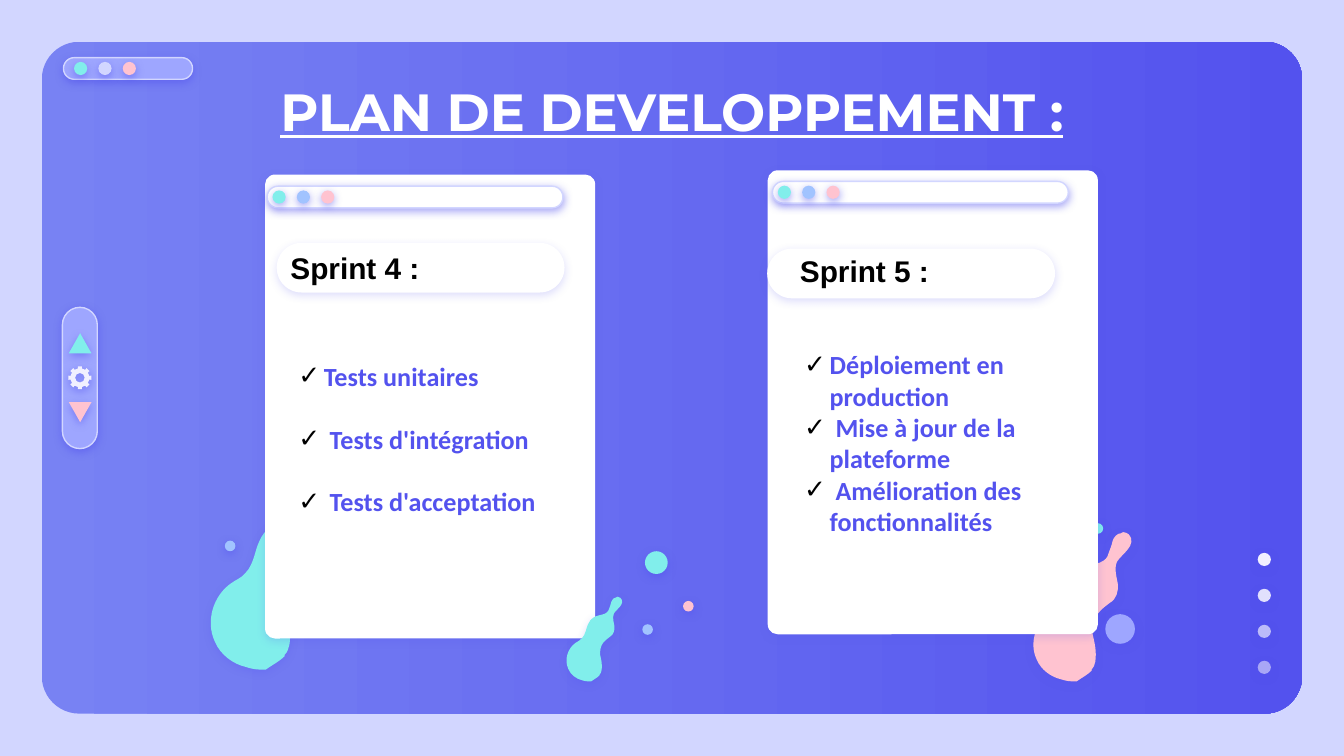
from math import cos, pi, sin

from lxml.etree import SubElement
from pptx import Presentation
from pptx.dml.color import RGBColor
from pptx.enum.shapes import MSO_SHAPE
from pptx.enum.text import MSO_ANCHOR, PP_ALIGN
from pptx.oxml.ns import qn
from pptx.util import Cm, Pt

LILAC = RGBColor(0xD2, 0xD6, 0xFF)
INDIGO = RGBColor(0x53, 0x52, 0xEE)
PERIWINKLE = RGBColor(0x78, 0x82, 0xF3)
LAVENDER = RGBColor(0x9E, 0xA6, 0xFF)
TEAL = RGBColor(0x81, 0xEE, 0xEB)
BLUE = RGBColor(0xA1, 0xC3, 0xFF)
PINK = RGBColor(0xFF, 0xC3, 0xD0)
PALE = RGBColor(0xF1, 0xF0, 0xFF)
WHITE = RGBColor(0xFF, 0xFF, 0xFF)
BLACK = RGBColor(0, 0, 0)

# All positions and sizes are in centimetres.
TITLE = "PLAN DE DEVELOPPEMENT :"
SPRINTS = [
    {"title": "Sprint 4 :", "card": (5.01, 3.3), "bar": (5.05, 3.52),
     "pill": (5.23, 4.59), "title_box": (5.24, 4.8, 3.99, 0.53),
     "list_box": (5.39, 6.68, 5.23, 3.25), "gap": 16.8,
     "tasks": ["Tests unitaires", " Tests d'intégration",
               " Tests d'acceptation"]},
    {"title": "Sprint 5 :", "card": (14.51, 3.22), "bar": (14.6, 3.43),
     "pill": (14.5, 4.7), "title_box": (14.87, 4.86, 4.8, 0.51),
     "list_box": (14.95, 6.46, 5.23, 3.84), "gap": 0,
     "tasks": ["Déploiement en production", " Mise à jour de la plateforme",
               " Amélioration des fonctionnalités"]},
]
# Dots: left, top, diameter, colour
DOTS_BEHIND_SPRINT_4 = [(4.25, 10.22, 0.2, BLUE), (12.14, 11.8, 0.2, BLUE),
                        (12.19, 10.42, 0.43, TEAL), (12.91, 11.36, 0.2, PINK)]
DOTS_BEHIND_SPRINT_5 = [(20.89, 11.61, 0.56, LAVENDER),
                        (20.65, 9.89, 0.2, TEAL)]
PAGE_DOT_OPACITY = [100, 90, 67, 54]

# Splash outline: a start, then two control points and an end per curve
SPLASH_WIDTH = 103
SPLASH = [
    (89, 0), (91, 0, 93, 1, 94, 2), (103, 12, 87, 21, 83, 28),
    (80, 35, 83, 43, 84, 50), (84, 56, 83, 63, 76, 67),
    (72, 70, 68, 73, 65, 77), (61, 82, 60, 89, 60, 96),
    (61, 101, 63, 108, 63, 115), (63, 119, 63, 126, 59, 130), (59, 131),
    (55, 135, 49, 138, 45, 141), (44, 141, 42, 141, 41, 141),
    (37, 141, 33, 140, 30, 139), (21, 137, 11, 130, 7, 120),
    (0, 105, 6, 86, 19, 77), (23, 74, 27, 73, 30, 69),
    (36, 63, 37, 52, 40, 46), (49, 25, 67, 35, 74, 23),
    (76, 17, 78, 13, 79, 8), (80, 5, 83, 1, 87, 1), (88, 0, 89, 0, 89, 0),
]
# Unit circle in the same form
ROUND = 0.55
CIRCLE = [(1, 0), (1, ROUND, ROUND, 1, 0, 1), (-ROUND, 1, -1, ROUND, -1, 0),
          (-1, -ROUND, -ROUND, -1, 0, -1), (ROUND, -1, 1, -ROUND, 1, 0)]

prs = Presentation()
prs.slide_width, prs.slide_height = Cm(25.4), Cm(14.29)
s = prs.slides.add_slide(prs.slide_layouts[6])
s.background.fill.solid()
s.background.fill.fore_color.rgb = LILAC


def style(sp, color, line=None, shadow=50, opacity=100):
    sp.fill.solid()
    sp.fill.fore_color.rgb = color
    if opacity < 100:
        SubElement(sp._element.spPr.find(".//" + qn("a:srgbClr")),
                   qn("a:alpha"), val=str(opacity * 1000))
    if line is None:
        sp.line.fill.background()
    else:
        sp.line.color.rgb = line
        sp.line.width = Pt(0.75)
    sp.shadow.inherit = False
    if shadow:
        effects = sp._element.spPr.find(qn("a:effectLst"))
        outer = SubElement(effects, qn("a:outerShdw"), blurRad=str(Pt(4.5)),
                           dist=str(Pt(1.5)), dir="5400000", algn="bl",
                           rotWithShape="0")
        rgb = SubElement(outer, qn("a:srgbClr"), val=str(INDIGO))
        SubElement(rgb, qn("a:alpha"), val=str(shadow * 1000))


def add_shape(kind, x, y, w, h, color, radius=None, **look):
    sp = s.shapes.add_shape(kind, Cm(x), Cm(y), Cm(w), Cm(h))
    if radius is not None:
        sp.adjustments[0] = radius
    style(sp, color, **look)
    return sp


def add_dot(x, y, d, color, **look):
    add_shape(MSO_SHAPE.OVAL, x, y, d, d, color, **look)


def add_window_bar(x, y, w, color, dot_colors, dx):
    add_shape(MSO_SHAPE.ROUNDED_RECTANGLE, x, y, w, 0.41, color, 0.5,
              line=LILAC)
    for i, dot_color in enumerate(dot_colors):
        add_dot(x + dx + i * 0.46, y + 0.08, 0.25, dot_color)


def place(contour, x, y, k):
    """Scale a contour by k and move it to x, y, in EMU point pairs."""
    return [[(Cm(x + k * px), Cm(y + k * py))
             for px, py in zip(part[::2], part[1::2])] for part in contour]


def add_outline(contours, color, shadow):
    """Draw closed contours as one shape; parts of three points are curves."""
    builder = s.shapes.build_freeform(*contours[0][0][0], scale=1.0)
    for i, contour in enumerate(contours):
        if i:
            builder.move_to(*contour[0][0])
        builder.add_line_segments([part[-1] for part in contour[1:]], close=True)
    sp = builder.convert_to_shape()
    parts = [part for contour in contours for part in contour[1:]]
    for segment, part in zip(list(sp._element.iter(qn("a:lnTo"))), parts):
        if len(part) == 3:
            curve = SubElement(segment.getparent(), qn("a:cubicBezTo"))
            for x, y in part:
                SubElement(curve, qn("a:pt"), x=str(x - sp.left),
                           y=str(y - sp.top))
            segment.getparent().replace(segment, curve)
    style(sp, color, shadow=shadow)


def add_splash(x, y, w, color):
    add_outline([place(SPLASH, x, y, w / SPLASH_WIDTH)], color, 22)


def add_gear(cx, cy, teeth=8):
    rim = [(r * cos(2 * pi * i / teeth + a), r * sin(2 * pi * i / teeth + a))
           for i in range(teeth)
           for r, a in ((0.18, -0.2), (0.22, -0.18), (0.22, 0.18), (0.18, 0.2))]
    add_outline([place(CIRCLE, cx, cy, 0.09), place(rim, cx, cy, 1)], PALE, 52)


def add_text(box, lines, size, font, color, underline=False, align=None,
             anchor=MSO_ANCHOR.TOP, inset=0.25, bullet=None, gap=0):
    tf = s.shapes.add_textbox(*map(Cm, box)).text_frame
    tf.word_wrap = True
    tf.vertical_anchor = anchor
    tf.margin_left = tf.margin_right = Cm(0.25)
    tf.margin_top = tf.margin_bottom = Cm(inset)
    for i, text in enumerate(lines):
        p = tf.paragraphs[0] if i == 0 else tf.add_paragraph()
        p.alignment = align
        if bullet:
            pPr = p._p.get_or_add_pPr()
            pPr.set("marL", str(Cm(0.48)))
            pPr.set("indent", str(-Cm(0.48)))
            bu_color = SubElement(pPr, qn("a:buClr"))
            SubElement(bu_color, qn("a:srgbClr"), val=str(BLACK))
            SubElement(pPr, qn("a:buFont"), typeface="Arial")
            SubElement(pPr, qn("a:buChar"), char=bullet)
        if i and gap:
            p.space_before = Pt(gap)
        r = p.add_run()
        r.text = text
        r.font.name, r.font.size, r.font.bold = font, Pt(size), True
        r.font.color.rgb = color
        if underline:
            r.font.underline = True


def add_card(sprint):
    add_shape(MSO_SHAPE.ROUNDED_RECTANGLE, *sprint["card"], 6.24, 8.77, WHITE,
              0.03, shadow=18)


# Main panel and its controls
panel = add_shape(MSO_SHAPE.ROUNDED_RECTANGLE, 0.79, 0.79, 23.82, 12.7, INDIGO,
                  0.056, shadow=0)
panel.fill.gradient()
panel.fill.gradient_angle = 0
for stop, color in zip(panel.fill.gradient_stops, (PERIWINKLE, INDIGO)):
    stop.color.rgb = color
add_window_bar(1.2, 1.09, 2.44, LAVENDER, (TEAL, LILAC, PINK), 0.2)
for i, opacity in enumerate(PAGE_DOT_OPACITY):
    add_dot(23.77, 10.45 + i * 0.68, 0.25, PALE, opacity=opacity)

# Splashes and cards, from back to front
add_splash(3.88, 9.07, 2.62, TEAL)
for dot in DOTS_BEHIND_SPRINT_4:
    add_dot(*dot)
add_card(SPRINTS[0])
add_splash(19.45, 10.06, 2.06, PINK)
for dot in DOTS_BEHIND_SPRINT_5:
    add_dot(*dot)
add_card(SPRINTS[1])
add_splash(10.66, 11.28, 1.17, TEAL)

add_text((2, 1.24, 21.4, 1.6), [TITLE], 28, "Montserrat", WHITE,
         underline=True, align=PP_ALIGN.CENTER)

for sprint in SPRINTS:
    add_window_bar(*sprint["bar"], 5.59, WHITE, (TEAL, BLUE, PINK), 0.1)

# Side control
add_shape(MSO_SHAPE.ROUNDED_RECTANGLE, 1.18, 5.81, 0.66, 2.67, LAVENDER, 0.5,
          line=LILAC)
add_shape(MSO_SHAPE.ISOSCELES_TRIANGLE, 1.3, 6.3, 0.43, 0.38, TEAL)
add_shape(MSO_SHAPE.ISOSCELES_TRIANGLE, 1.3, 7.6, 0.43, 0.38, PINK).rotation = 180
add_gear(1.51, 7.14)

for sprint in SPRINTS:
    add_shape(MSO_SHAPE.ROUNDED_RECTANGLE, *sprint["pill"], 5.44, 0.94, WHITE,
              0.5, shadow=18)
    add_text(sprint["title_box"], [sprint["title"]], 16, "Arial", BLACK,
             anchor=MSO_ANCHOR.MIDDLE)
    add_text(sprint["list_box"], sprint["tasks"], 14, "Calibri", INDIGO,
             inset=0.13, bullet="✓", gap=sprint["gap"])

prs.save("out.pptx")
